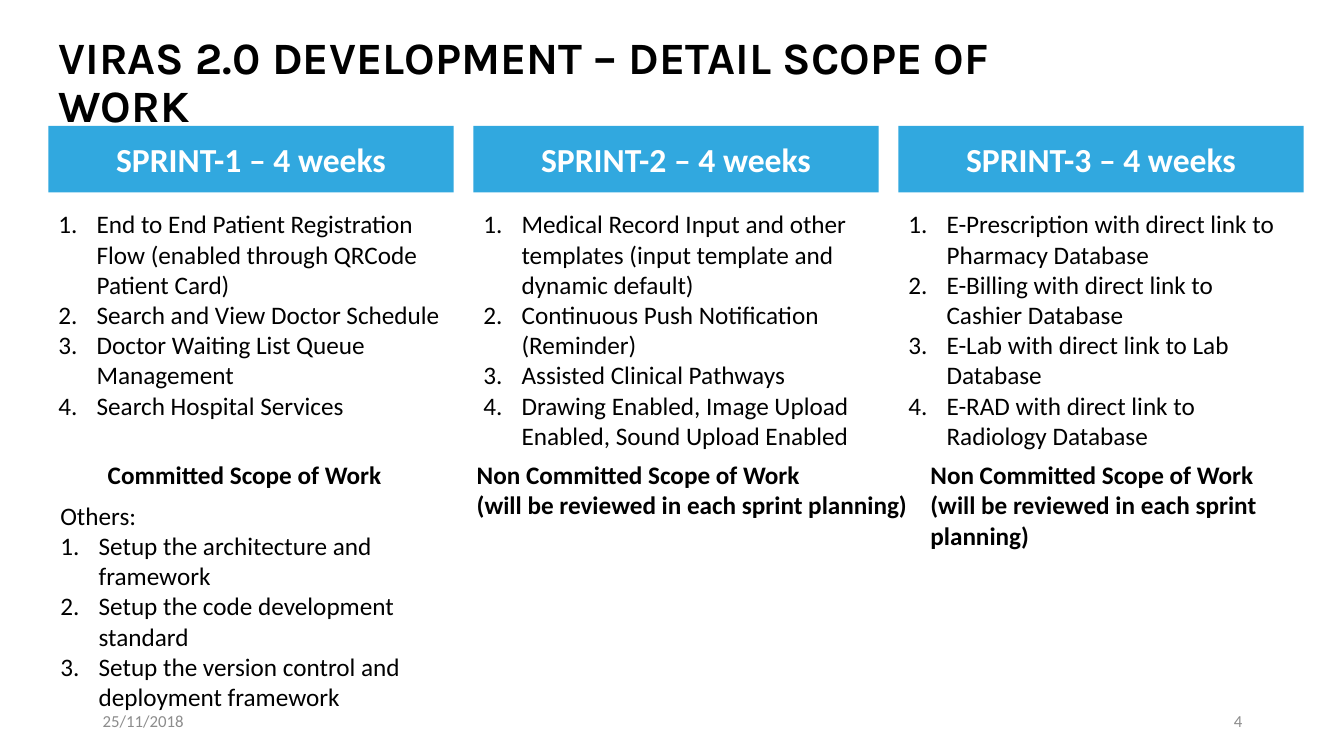
from pptx import Presentation
from pptx.dml.color import RGBColor
from pptx.enum import shapes, text
from pptx.oxml.ns import qn
from pptx.util import Inches, Pt

BLACK = RGBColor(0x00, 0x00, 0x00)
WHITE = RGBColor(0xFF, 0xFF, 0xFF)
GREY = RGBColor(0x8C, 0x8C, 0x8C)
BLUE = RGBColor(0x31, 0xA8, 0xDF)

LEFT, PITCH, COLUMN_WIDTH = 0.48, 4.215, 4.02
INDENT = Inches(0.38)
REVIEW_NOTE = ["Non Committed Scope of Work",
               "(will be reviewed in each sprint planning)"]

# Heading, tasks, height of the task list
SPRINTS = [
    ("SPRINT-1 – 4 weeks", [
        "End to End Patient Registration Flow (enabled through QRCode Patient Card)",
        "Search and View Doctor Schedule",
        "Doctor Waiting List Queue Management",
        "Search Hospital Services"], 2.22),
    ("SPRINT-2 – 4 weeks", [
        "Medical Record Input and other templates (input template and dynamic default)",
        "Continuous Push Notification (Reminder)",
        "Assisted Clinical Pathways",
        "Drawing Enabled, Image Upload Enabled, Sound Upload Enabled"], 2.52),
    ("SPRINT-3 – 4 weeks", [
        "E-Prescription with direct link to Pharmacy Database",
        "E-Billing with direct link to Cashier Database",
        "E-Lab with direct link to Lab Database",
        "E-RAD with direct link to Radiology Database"], 2.52),
]

# Lines, box, wraps
COMMITMENTS = [
    (["Committed Scope of Work"], (0.97, 4.51, 2.95, 0.4), False),
    (REVIEW_NOTE, (4.63, 4.51, 4.5, 0.71), False),
    (REVIEW_NOTE, (9.13, 4.51, 3.8, 1.01), True),
]

OTHERS = ["Others:",
          "Setup the architecture and framework",
          "Setup the code development standard",
          "Setup the version control and deployment framework"]


def number(paragraph):
    """Give a paragraph a hanging automatic number."""
    properties = paragraph._p.get_or_add_pPr()
    properties.set("marL", str(INDENT))
    properties.set("indent", str(-INDENT))
    bullet = properties.makeelement(qn("a:buAutoNum"), {"type": "arabicPeriod"})
    properties.append(bullet)


def write(frame, lines, size=18, color=BLACK, font="Calibri", bold=False,
          align=text.PP_ALIGN.LEFT, anchor=text.MSO_ANCHOR.TOP, wrap=True,
          spacing=None, numbered_from=None):
    """Fill a text frame; lines from index numbered_from on are numbered."""
    frame.auto_size = text.MSO_AUTO_SIZE.NONE
    frame.word_wrap = wrap
    frame.vertical_anchor = anchor
    for index, line in enumerate(lines):
        paragraph = frame.paragraphs[0] if index == 0 else frame.add_paragraph()
        paragraph.alignment = align
        if spacing:
            paragraph.line_spacing = spacing
        if numbered_from is not None and index >= numbered_from:
            number(paragraph)
        run = paragraph.add_run()
        run.text = line
        run.font.size = Pt(size)
        run.font.name = font
        run.font.bold = bold
        run.font.color.rgb = color


def add_text(slide, box, lines, **style):
    frame = slide.shapes.add_textbox(*map(Inches, box)).text_frame
    write(frame, lines, **style)


def add_title(slide, box, line):
    title = slide.shapes.title
    title.left, title.top, title.width, title.height = map(Inches, box)
    write(title.text_frame, [line], size=32, font="Karla", bold=True,
          anchor=text.MSO_ANCHOR.MIDDLE, spacing=0.9)


def add_sprint(slide, left, top, width, heading, tasks, tasks_height):
    banner = slide.shapes.add_shape(
        shapes.MSO_SHAPE.RECTANGLE,
        Inches(left), Inches(top), Inches(width), Inches(0.66))
    banner.shadow.inherit = False
    banner.fill.solid()
    banner.fill.fore_color.rgb = BLUE
    banner.line.fill.background()
    write(banner.text_frame, [heading], size=24, color=WHITE, bold=True,
          align=text.PP_ALIGN.CENTER, anchor=text.MSO_ANCHOR.MIDDLE)
    add_text(slide, (left, top + 0.77, width, tasks_height), tasks,
             numbered_from=0)


def add_footer(slide, left, top, width, date, page):
    small = dict(size=12, color=GREY, anchor=text.MSO_ANCHOR.MIDDLE)
    add_text(slide, (left, top, 3, 0.4), [date], **small)
    add_text(slide, (left + width - 3, top, 3, 0.4), [page],
             align=text.PP_ALIGN.RIGHT, **small)


def main():
    deck = Presentation()
    deck.slide_width, deck.slide_height = Inches(13.33), Inches(7.5)
    slide = deck.slides.add_slide(deck.slide_layouts.get_by_name("Title Only"))

    add_title(slide, (LEFT, 0.32, 10.52, 1.03),
              "VIRAS 2.0 DEVELOPMENT – DETAIL SCOPE OF WORK")
    add_footer(slide, 0.92, 6.95, 11.5, "25/11/2018", "4")
    for column, sprint in enumerate(SPRINTS):
        add_sprint(slide, LEFT + column * PITCH, 1.25, COLUMN_WIDTH, *sprint)
    for lines, box, wrap in COMMITMENTS:
        add_text(slide, box, lines, bold=True, wrap=wrap)
    add_text(slide, (0.5, 4.91, COLUMN_WIDTH, 2.22), OTHERS, numbered_from=1)

    deck.save("out.pptx")


if __name__ == "__main__":
    main()
